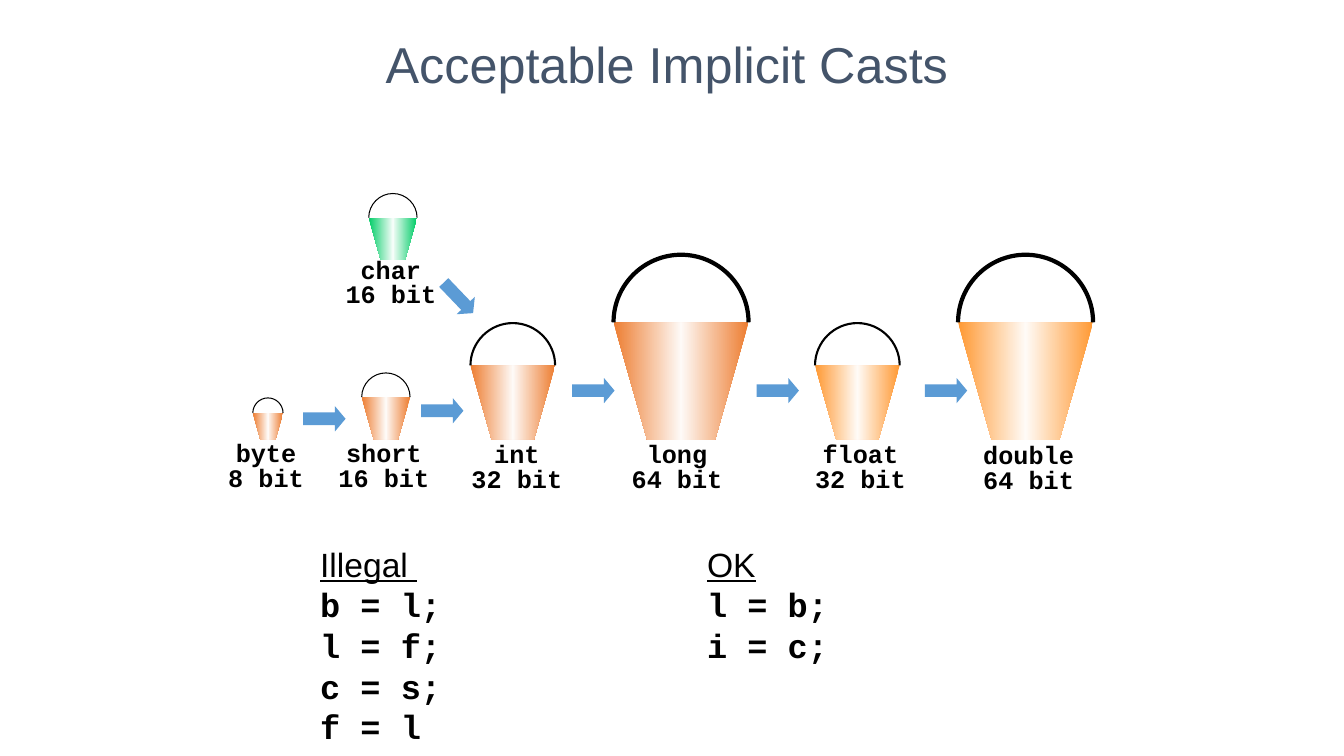
from copy import deepcopy

from lxml import etree
from pptx import Presentation
from pptx.dml.color import RGBColor
from pptx.enum.shapes import MSO_SHAPE
from pptx.enum.text import MSO_ANCHOR, MSO_AUTO_SIZE, PP_ALIGN
from pptx.oxml.ns import qn
from pptx.util import Inches, Pt

BLACK = RGBColor(0x00, 0x00, 0x00)
WHITE = RGBColor(0xFF, 0xFF, 0xFF)
SLATE = RGBColor(0x44, 0x54, 0x6A)
BLUE = RGBColor(0x5B, 0x9B, 0xD5)
GREEN = (RGBColor(0x00, 0xCC, 0x66), RGBColor(0xF5, 0xFD, 0xF9))
ORANGE = (RGBColor(0xED, 0x7D, 0x31), RGBColor(0xFE, 0xFA, 0xF7))
AMBER = (RGBColor(0xFF, 0x99, 0x33), RGBColor(0xFF, 0xFB, 0xF7))
SANS, MONO = "Arial", "Courier New"

# Content
TITLE = "Acceptable Implicit Casts"
# type, bits, colours, left, width, base, handle points, label centre, label top
BUCKETS = [
    ("char", 16, GREEN, 3.66, 0.48, 2.58, 0.75, 3.88, 2.53),
    ("double", 64, AMBER, 9.51, 1.34, 4.37, 3, 10.21, 4.37),
    ("float", 32, AMBER, 8.09, 0.84, 4.36, 1.5, 8.54, 4.36),
    ("long", 64, ORANGE, 6.09, 1.34, 4.37, 3, 6.72, 4.36),
    ("int", 32, ORANGE, 4.67, 0.84, 4.36, 1.5, 5.13, 4.36),
    ("short", 16, ORANGE, 3.59, 0.48, 4.36, 0.75, 3.81, 4.35),
    ("byte", 8, ORANGE, 2.51, 0.3, 4.36, 0.75, 2.64, 4.35),
]
# left, top, rotation
ARROWS = [
    (3.01, 4.03, 0), (4.18, 3.95, 0), (5.68, 3.75, 0),
    (7.51, 3.75, 0), (9.18, 3.75, 0), (4.34, 2.83, 46.2),
]
# heading, code lines, left, width, height
EXAMPLES = [
    ("Illegal ", ["b = l;", "l = f;", "c = s;", "f = l"], 3.08, 2.83, 2.08),
    ("OK", ["l = b;", "i = c;"], 6.92, 1.92, 1.58),
]

presentation = Presentation()
presentation.slide_width = Inches(13.34)
presentation.slide_height = Inches(7.5)
slide = presentation.slides.add_slide(presentation.slide_layouts[6])
shapes = slide.shapes


def add_run(paragraph, text, size, font_name, color=BLACK, bold=False, underline=False):
    run = paragraph.add_run()
    run.text = text
    font = run.font
    font.size, font.name, font.color.rgb = Pt(size), font_name, color
    font.bold, font.underline = bold, underline


def add_paragraph(frame, index):
    return frame.add_paragraph() if index else frame.paragraphs[0]


def add_outline(points, close):
    corners = [(Inches(x), Inches(y)) for x, y in points]
    builder = shapes.build_freeform(*corners[0])
    builder.add_line_segments(corners[1:], close=close)
    shape = builder.convert_to_shape()
    shape.shadow.inherit = False
    return shape


def add_solid(kind, left, top, width, height, color):
    shape = shapes.add_shape(kind, Inches(left), Inches(top), Inches(width), Inches(height))
    shape.shadow.inherit = False
    shape.fill.solid()
    shape.fill.fore_color.rgb = color
    shape.line.fill.background()
    return shape


def round_handle(handle):
    """Turn the two straight segments into quarter circles."""
    radius = handle.height
    bend = 0.55 * radius
    curves = [
        [(2 * radius, radius - bend), (radius + bend, 0), (radius, 0)],
        [(radius - bend, 0), (0, radius - bend), (0, radius)],
    ]
    segments = list(handle._element.iter(qn("a:lnTo")))
    for segment, curve in zip(segments, curves):
        bezier = etree.Element(qn("a:cubicBezTo"))
        for x, y in curve:
            etree.SubElement(bezier, qn("a:pt"), x=str(int(x)), y=str(int(y)))
        segment.getparent().replace(segment, bezier)


def add_bucket(colors, left, width, base, handle_points):
    edge, middle = colors
    right, rim = left + width, base - width * 0.875
    inset, radius = width / 4, width / 2

    # Tapered body
    body = add_outline(
        [(left, rim), (left + inset, base), (right - inset, base), (right, rim)], True)
    body.line.fill.background()
    body.fill.gradient()
    body.fill.gradient_angle = 0
    stop_list = body._element.spPr.find(qn("a:gradFill")).find(qn("a:gsLst"))
    stop_list.append(deepcopy(stop_list[-1]))
    for stop, position, color in zip(
            body.fill.gradient_stops, (0, 0.5, 1), (edge, middle, edge)):
        stop.position, stop.color.rgb = position, color

    # Half-circle handle
    handle = add_outline([(right, rim), (left + radius, rim - radius), (left, rim)], False)
    round_handle(handle)
    handle.fill.background()
    handle.line.color.rgb = BLACK
    handle.line.width = Pt(handle_points)


# Title
title = shapes.add_textbox(Inches(2.08), Inches(0.25), Inches(9.08), Inches(0.75))
title.text_frame.word_wrap = True
title.text_frame.vertical_anchor = MSO_ANCHOR.MIDDLE
paragraph = title.text_frame.paragraphs[0]
paragraph.alignment = PP_ALIGN.CENTER
add_run(paragraph, TITLE, 36, SANS, SLATE)

# Buckets and their labels
for name, bits, colors, left, width, base, handle_points, center, label_top in BUCKETS:
    add_bucket(colors, left, width, base, handle_points)
    label_width = 0.95 if bits < 10 else 1.1
    label = shapes.add_textbox(Inches(center - label_width / 2), Inches(label_top),
                               Inches(label_width), Inches(0.58))
    label.text_frame.word_wrap = False
    label.text_frame.auto_size = MSO_AUTO_SIZE.SHAPE_TO_FIT_TEXT
    for index, text in enumerate((name, f"{bits} bit")):
        paragraph = add_paragraph(label.text_frame, index)
        paragraph.alignment = PP_ALIGN.CENTER
        paragraph.line_spacing = 0.8
        add_run(paragraph, text, 18, MONO, bold=True)

# Cast arrows
for left, top, rotation in ARROWS:
    arrow = add_solid(MSO_SHAPE.RIGHT_ARROW, left, top, 0.42, 0.25, BLUE)
    arrow.adjustments[0], arrow.adjustments[1] = 0.5, 0.42
    arrow.rotation = rotation

# Code examples with hanging indents
for heading, code_lines, left, width, height in EXAMPLES:
    frame = add_solid(MSO_SHAPE.RECTANGLE, left, 5.42, width, height, WHITE).text_frame
    frame.word_wrap = True
    frame.vertical_anchor = MSO_ANCHOR.TOP
    for index, text in enumerate([heading, *code_lines]):
        paragraph = add_paragraph(frame, index)
        paragraph.alignment = PP_ALIGN.LEFT
        paragraph.line_spacing = 0.8
        paragraph.space_before = Pt(6 if index else 0)
        properties = paragraph._p.get_or_add_pPr()
        properties.set("marL", str(Inches(0.38)))
        properties.set("indent", str(-Inches(0.38)))
        is_code = index > 0
        add_run(paragraph, text, 24, MONO if is_code else SANS,
                bold=is_code, underline=not is_code)

presentation.save("out.pptx")
